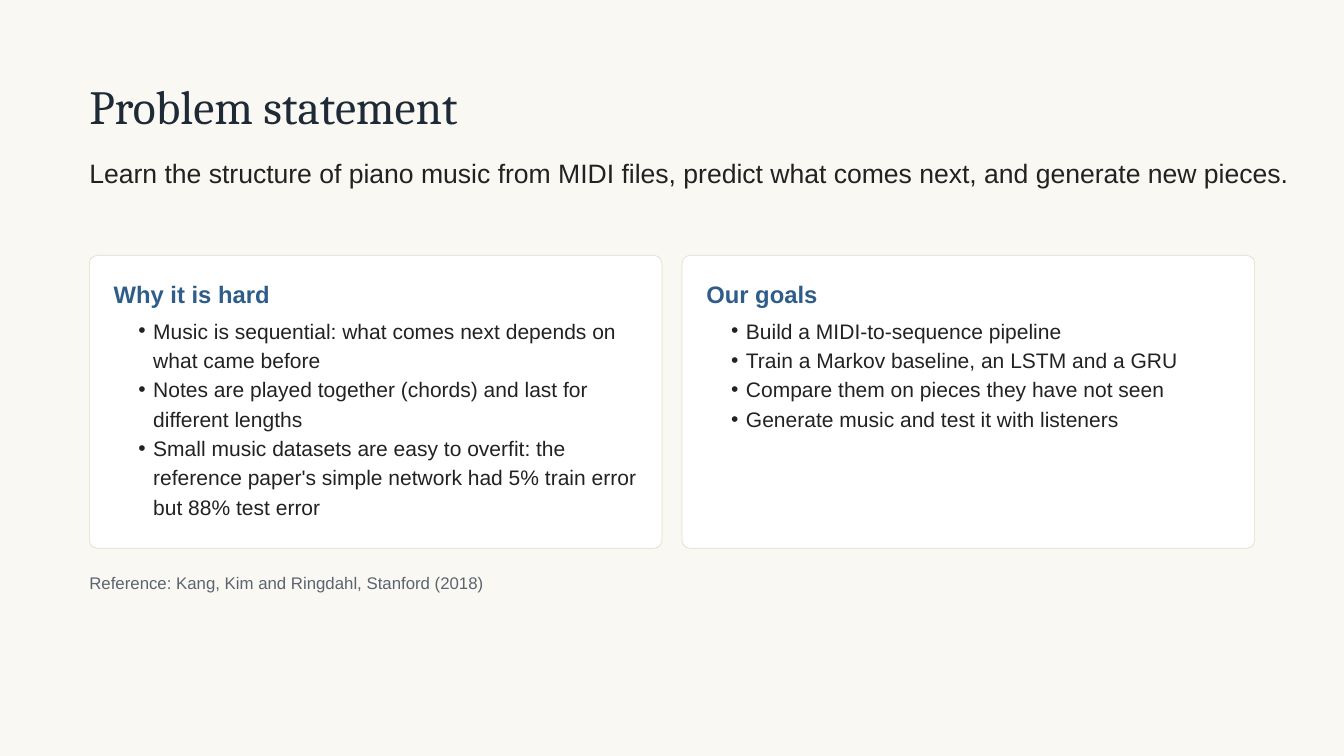
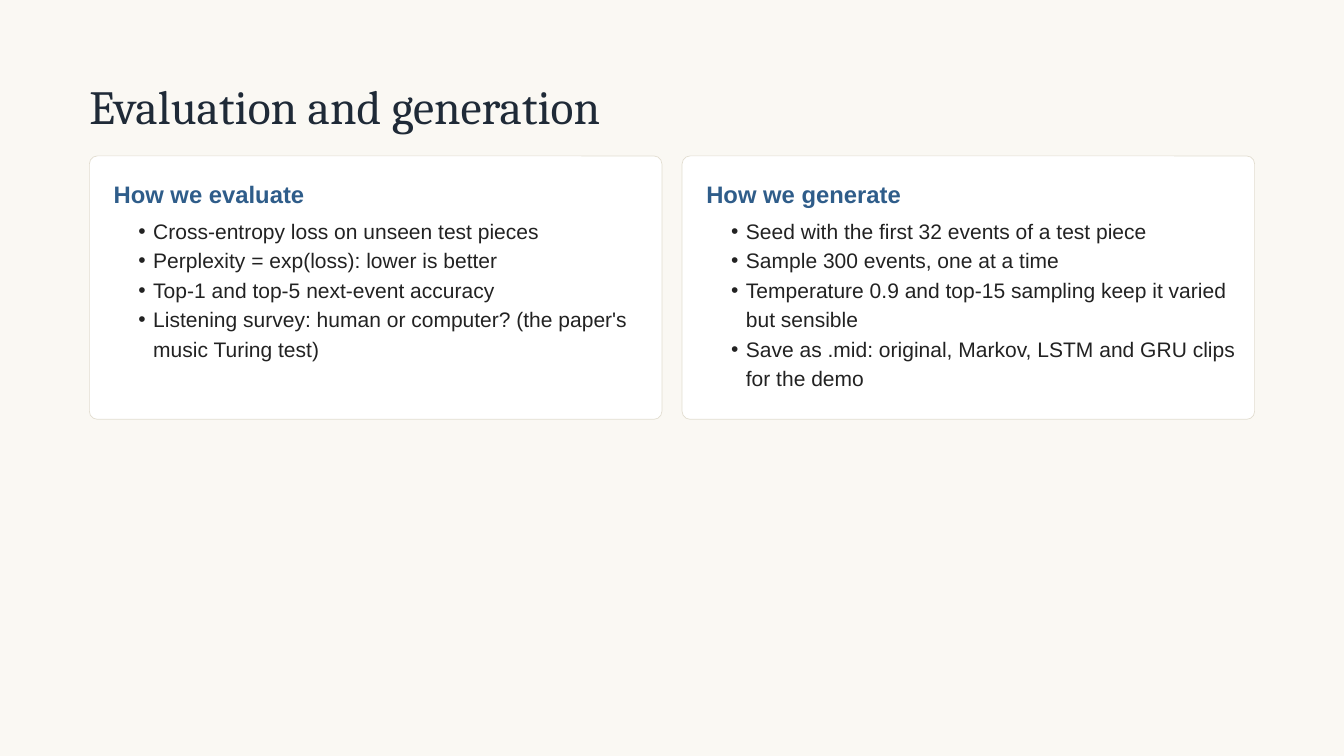
from dataclasses import dataclass

from lxml.etree import SubElement
from pptx import Presentation
from pptx.dml.color import RGBColor
from pptx.enum.shapes import MSO_SHAPE
from pptx.enum.text import MSO_ANCHOR, MSO_AUTO_SIZE, PP_ALIGN
from pptx.oxml.ns import qn
from pptx.util import Inches, Pt

# Grid: 200 columns by 112.5 rows of square cells
CELL = Inches(0.1)
COLS, ROWS = 200, 112.5
LEFT, GAP = 13.3, 3
WIDE = 178.5
CARD = (COLS - 2 * LEFT - GAP) / 2


@dataclass(frozen=True)
class Type:
    face: str
    size: float
    lead: float
    ink: str
    bold: bool = False


@dataclass(frozen=True)
class Theme:
    back: str = "FAF8F3"
    card: str = "FFFFFF"
    edge: str = "E2DDD0"
    title: Type = Type("Cambria", 51, 56.1, "1F2A37")
    lead: Type = Type("Arial", 28.5, 39.9, "222222")
    head: Type = Type("Arial", 25.5, 30.6, "2F5D8A", True)
    item: Type = Type("Arial", 22.5, 31.5, "222222")
    note: Type = Type("Arial", 18, 25.2, "5B6470")


def color(code):
    return RGBColor.from_string(code)


def cells(*counts):
    return [round(count * CELL) for count in counts]


class Deck:
    def __init__(self, theme):
        self.theme = theme
        self.prs = Presentation()
        self.prs.slide_width, self.prs.slide_height = cells(COLS, ROWS)
        fill = self.prs.slide_master.background.fill
        fill.solid()
        fill.fore_color.rgb = color(theme.back)
        self.slide = None

    def page(self, title):
        """Start a slide on the comparison layout."""
        self.slide = self.prs.slides.add_slide(self.prs.slide_layouts[4])
        box = (LEFT, 12.1, WIDE, 7.8)
        self.put(self.slide.shapes.title, box, [title], self.theme.title)

    def put(self, shape, box, lines, style, bullet=False):
        """Place a text shape and format its paragraphs."""
        shape.left, shape.top, shape.width, shape.height = cells(*box)
        frame = shape.text_frame
        frame.text = "\n".join(lines)
        frame.word_wrap = True
        frame.auto_size = MSO_AUTO_SIZE.NONE
        frame.vertical_anchor = MSO_ANCHOR.TOP
        frame.margin_left = frame.margin_right = 0
        frame.margin_top = frame.margin_bottom = 0
        for para in frame.paragraphs:
            if bullet:
                self.mark(para)
            para.alignment = PP_ALIGN.LEFT
            para.line_spacing = Pt(style.lead)
            para.space_before = para.space_after = Pt(0)
            for run in para.runs:
                font = run.font
                font.name, font.size = style.face, Pt(style.size)
                font.bold = style.bold
                font.color.rgb = color(style.ink)

    def mark(self, para):
        """Give a paragraph a hanging bullet."""
        para.level = 1
        props = para._p.get_or_add_pPr()
        props.set("marL", str(Inches(0.45)))
        props.set("indent", str(Inches(-0.22)))
        SubElement(props, qn("a:buChar")).set("char", "•")

    def text(self, top, high, line, style):
        shape = self.slide.shapes.add_textbox(0, 0, 0, 0)
        self.put(shape, (LEFT, top, WIDE, high), [line], style)

    def panel(self, left, top, high):
        """Draw a rounded card behind the text."""
        shape = self.slide.shapes.add_shape(
            MSO_SHAPE.ROUNDED_RECTANGLE, *cells(left, top, CARD, high))
        shape.adjustments[0] = 1.2 / high
        shape.shadow.inherit = False
        shape.fill.solid()
        shape.fill.fore_color.rgb = color(self.theme.card)
        shape.line.color.rgb = color(self.theme.edge)
        shape.line.width = Pt(0.75)
        node = shape.element
        node.getparent().insert(2, node)

    def cards(self, top, high, parts):
        """Fill two equal cards, each with a heading and a list."""
        slots = self.slide.placeholders
        for col, (head, items) in enumerate(parts):
            left = LEFT + col * (CARD + GAP)
            self.panel(left, top, high)
            self.put(slots[2 * col + 1], (left + 3.6, top + 3.6, 80.3, 4.8),
                     [head], self.theme.head)
            self.put(slots[2 * col + 2],
                     (left + 5, top + 8.7, 78.8, high - 11.9),
                     items, self.theme.item, bullet=True)


def main():
    theme = Theme()
    deck = Deck(theme)

    # Problem statement
    deck.page("Problem statement")
    deck.text(22.5, 12.2, "Learn the structure of piano music from MIDI files, "
              "predict what comes next, and generate new pieces.", theme.lead)
    deck.cards(38, 43.6, [
        ("Why it is hard", [
            "Music is sequential: what comes next depends on what came before",
            "Notes are played together (chords) and last for different lengths",
            "Small music datasets are easy to overfit: the reference paper's "
            "simple network had 5% train error but 88% test error"]),
        ("Our goals", [
            "Build a MIDI-to-sequence pipeline",
            "Train a Markov baseline, an LSTM and a GRU",
            "Compare them on pieces they have not seen",
            "Generate music and test it with listeners"])])
    deck.text(84.7, 4.5, "Reference: Kang, Kim and Ringdahl, Stanford (2018)",
              theme.note)

    # Evaluation and generation
    deck.page("Evaluation and generation")
    deck.cards(23.2, 39.2, [
        ("How we evaluate", [
            "Cross-entropy loss on unseen test pieces",
            "Perplexity = exp(loss): lower is better",
            "Top-1 and top-5 next-event accuracy",
            "Listening survey: human or computer? (the paper's music "
            "Turing test)"]),
        ("How we generate", [
            "Seed with the first 32 events of a test piece",
            "Sample 300 events, one at a time",
            "Temperature 0.9 and top-15 sampling keep it varied but sensible",
            "Save as .mid: original, Markov, LSTM and GRU clips for the "
            "demo"])])

    deck.prs.save("out.pptx")


if __name__ == "__main__":
    main()
